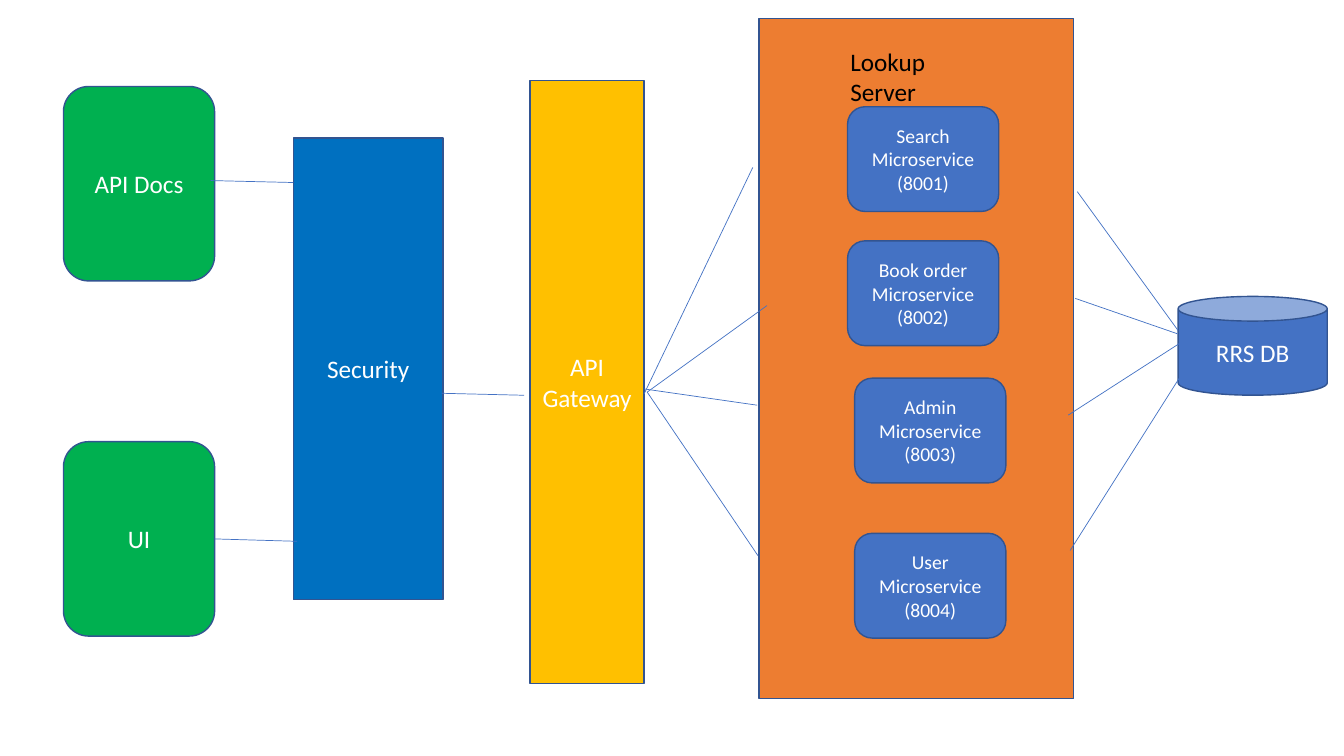
import pptx
import pptx.util
import pptx.dml.color
import pptx.enum.shapes
import pptx.enum.text
import pptx.oxml.ns
import lxml.etree

Cm = pptx.util.Cm
Pt = pptx.util.Pt
RGBColor = pptx.dml.color.RGBColor
Shape = pptx.enum.shapes.MSO_SHAPE

ORANGE = RGBColor(0xED, 0x7D, 0x31)
GOLD = RGBColor(0xFF, 0xC0, 0x00)
DEEP_BLUE = RGBColor(0x00, 0x70, 0xC0)
GREEN = RGBColor(0x00, 0xB0, 0x50)
BLUE = RGBColor(0x44, 0x72, 0xC4)
OUTLINE = RGBColor(0x32, 0x54, 0x91)
WHITE = RGBColor(0xFF, 0xFF, 0xFF)
BLACK = RGBColor(0x00, 0x00, 0x00)

CLIENT_LEFT, CLIENT_SIZE = 1.6, (3.81, 4.9)
SERVICE_SIZE = (3.81, 2.64)

BLOCKS = [
    ("", Shape.RECTANGLE, ORANGE, (19.13, 0.46, 7.92, 17.15)),
    ("API\nGateway", Shape.RECTANGLE, GOLD, (13.36, 2.03, 2.87, 15.19)),
    ("Security", Shape.RECTANGLE, DEEP_BLUE, (7.39, 3.48, 3.78, 11.63)),
    ("UI", Shape.ROUNDED_RECTANGLE, GREEN, (CLIENT_LEFT, 11.13, *CLIENT_SIZE)),
    ("API Docs", Shape.ROUNDED_RECTANGLE, GREEN, (CLIENT_LEFT, 2.18, *CLIENT_SIZE)),
    ("RRS DB", Shape.CAN, BLUE, (29.69, 7.47, 3.76, 2.49)),
]
SERVICES = [
    ("Search Microservice\n(8001)", 21.36, 2.69),
    ("Book order\nMicroservice\n(8002)", 21.36, 6.07),
    ("Admin\nMicroservice\n(8003)", 21.54, 9.53),
    ("User Microservice\n(8004)", 21.54, 13.44),
]
SERVER_TITLE = ("Lookup Server", (21.18, 1.04, 4.14, 1.02))
UI_LINK = (5.41, 13.58, 7.49, 13.64)
LINKS = [
    (5.31, 4.55, 7.39, 4.6),
    (16.31, 9.88, 19.1, 14.0),
    (16.23, 9.8, 19.08, 10.21),
    (16.31, 9.88, 19.33, 7.7),
    (16.23, 9.93, 18.97, 4.22),
    (27.15, 4.83, 29.69, 8.33),
    (27.1, 7.52, 29.67, 8.41),
    (26.92, 10.46, 29.87, 8.56),
    (26.97, 13.87, 30.35, 8.53),
    (11.13, 9.91, 13.21, 9.96),
]


def write_text(box, text, size, color, align):
    box.text_frame.text = text
    for para in box.text_frame.paragraphs:
        para.alignment = align
        for span in para.runs:
            span.font.name = "Calibri"
            span.font.size = Pt(size)
            span.font.color.rgb = color


def add_block(page, text, kind, fill, place, size=18):
    box = page.shapes.add_shape(kind, *map(Cm, place))
    box.shadow.inherit = False
    box.fill.solid()
    box.fill.fore_color.rgb = fill
    box.line.color.rgb = OUTLINE
    box.line.width = Pt(1)
    if text:
        box.text_frame.vertical_anchor = pptx.enum.text.MSO_ANCHOR.MIDDLE
        write_text(box, text, size, WHITE, pptx.enum.text.PP_ALIGN.CENTER)
    return box


def add_link(page, ends):
    link = page.shapes.add_connector(
        pptx.enum.shapes.MSO_CONNECTOR.STRAIGHT, *map(Cm, ends))
    link.line.color.rgb = BLUE
    link.line.width = Pt(0.5)
    lxml.etree.SubElement(link._element.spPr, pptx.oxml.ns.qn("a:effectLst"))
    return link


def main():
    deck = pptx.Presentation()
    deck.slide_width, deck.slide_height = Cm(33.87), Cm(19.05)
    page = deck.slides.add_slide(deck.slide_layouts[6])

    boxes = {block[0]: add_block(page, *block) for block in BLOCKS}
    for text, left, top in SERVICES:
        add_block(page, text, Shape.ROUNDED_RECTANGLE, BLUE,
                  (left, top, *SERVICE_SIZE), 14)

    text, place = SERVER_TITLE
    title = page.shapes.add_textbox(*map(Cm, place))
    title.text_frame.word_wrap = True
    title.text_frame.auto_size = pptx.enum.text.MSO_AUTO_SIZE.SHAPE_TO_FIT_TEXT
    write_text(title, text, 18, BLACK, pptx.enum.text.PP_ALIGN.LEFT)

    add_link(page, UI_LINK).begin_connect(boxes["UI"], 3)
    for ends in LINKS:
        add_link(page, ends)

    deck.save("out.pptx")


if __name__ == "__main__":
    main()
